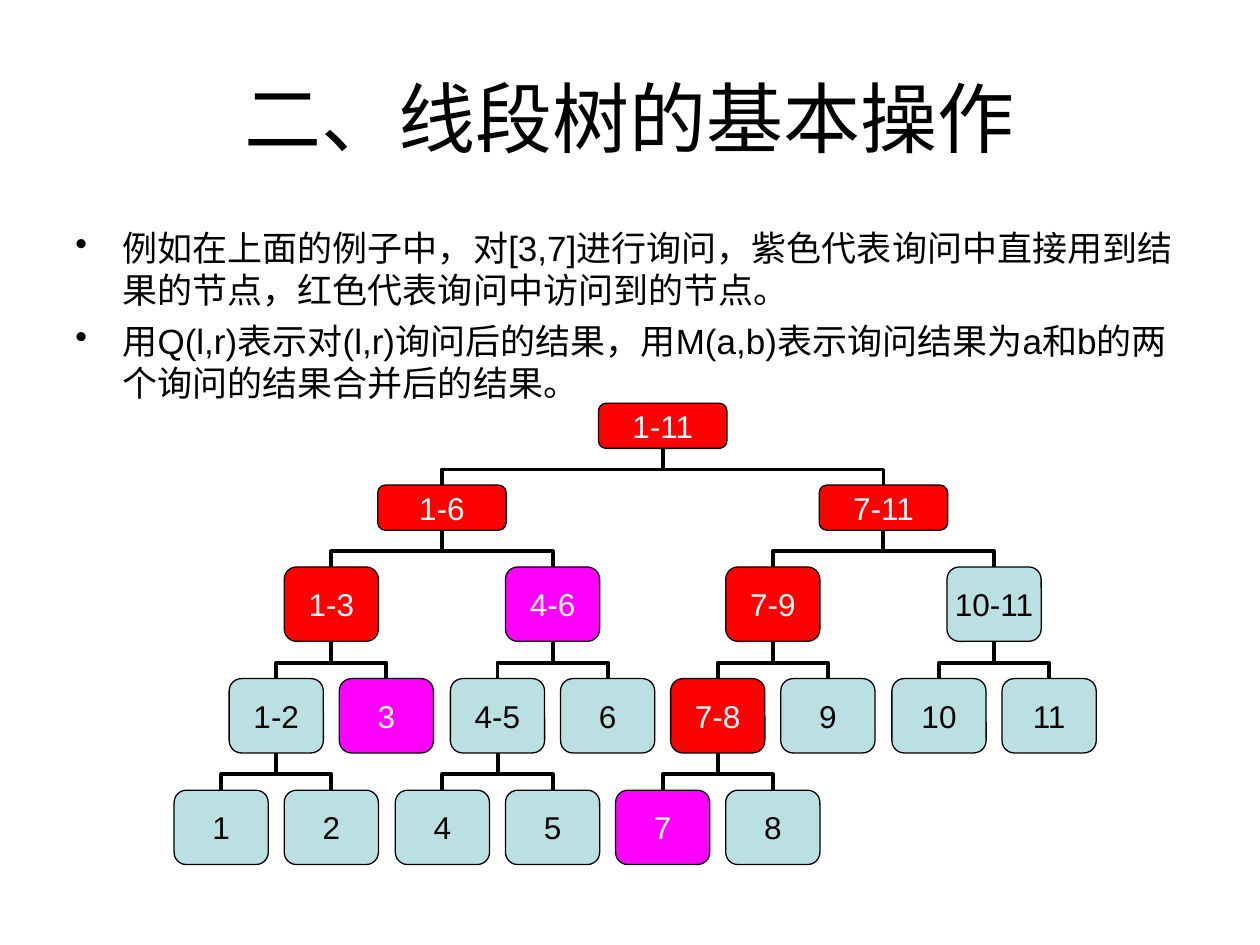
import pptx
import pptx.util
import pptx.dml.color
import pptx.enum.shapes
import pptx.enum.text
import pptx.oxml.ns
from lxml import etree
from pptx.util import Cm

FONT = "Arial"
BLACK, WHITE = "000000", "FFFFFF"
VISITED, USED, UNTOUCHED = "FF0000", "FF00FF", "BBE0E3"
QUERY = (3, 7)

# Tree layout in cm, one entry per level
LEVEL_TOPS = [8.13, 9.78, 11.43, 13.68, 15.93]
LEVEL_SIZES = [(2.59, 0.91)] * 2 + [(1.9, 1.5)] * 3
CHILD_OFFSETS = [4.45, 2.23, 1.11, 1.11]
ROOT_CENTRE = 13.36


def colour(hex_value):
    return pptx.dml.color.RGBColor.from_string(hex_value)


class SlideBuilder:
    """Holds the style and the current slide."""

    def __init__(self, slide):
        self.slide = slide
        self.tree = slide.shapes.add_group_shape().shapes

    def style(self, paragraph, size, hex_value):
        paragraph.font.name = FONT
        paragraph.font.size = pptx.util.Pt(size)
        paragraph.font.color.rgb = colour(hex_value)

    def text_frame(self, left, top, width, height):
        box = self.slide.shapes.add_textbox(Cm(left), Cm(top), Cm(width), Cm(height))
        box.text_frame.word_wrap = True
        return box.text_frame

    def title(self, text, *area):
        frame = self.text_frame(*area)
        frame.vertical_anchor = pptx.enum.text.MSO_ANCHOR.MIDDLE
        heading = frame.paragraphs[0]
        heading.text = text
        heading.alignment = pptx.enum.text.PP_ALIGN.CENTER
        self.style(heading, 44, BLACK)

    def bullets(self, points, *area):
        frame = self.text_frame(*area)
        frame.text = "\n".join(points)
        for point in frame.paragraphs:
            self.style(point, 20, BLACK)
            point.space_before = pptx.util.Pt(5)
            properties = point._p.get_or_add_pPr()
            properties.set("marL", str(Cm(0.95)))
            properties.set("indent", str(-Cm(0.95)))
            bullet = etree.SubElement(properties, pptx.oxml.ns.qn("a:buChar"))
            bullet.set("char", "•")

    def node(self, label, fill, centre, top, width, height):
        box = self.tree.add_shape(
            pptx.enum.shapes.MSO_SHAPE.ROUNDED_RECTANGLE,
            Cm(centre - width / 2), Cm(top), Cm(width), Cm(height))
        box.shadow.inherit = False
        box.fill.solid()
        box.fill.fore_color.rgb = colour(fill)
        box.line.color.rgb = colour(BLACK)
        box.line.width = pptx.util.Pt(0.75)
        frame = box.text_frame
        frame.margin_left = frame.margin_right = 0
        frame.margin_top = frame.margin_bottom = 0
        frame.word_wrap = False
        frame.vertical_anchor = pptx.enum.text.MSO_ANCHOR.MIDDLE
        caption = frame.paragraphs[0]
        caption.text = label
        caption.alignment = pptx.enum.text.PP_ALIGN.CENTER
        self.style(caption, 18, BLACK if fill == UNTOUCHED else WHITE)

    def branch(self, child_x, child_top, parent_x, parent_bottom):
        """Elbow from a child's top up to its parent's bottom, turned upright."""
        side = 1 if child_x > parent_x else -1
        middle_x = (child_x + parent_x) / 2
        middle_y = (child_top + parent_bottom) / 2
        half_rise = side * (child_top - parent_bottom) / 2
        half_run = abs(child_x - parent_x) / 2
        elbow = self.tree.add_connector(
            pptx.enum.shapes.MSO_CONNECTOR.ELBOW,
            Cm(middle_x - half_rise), Cm(middle_y + half_run),
            Cm(middle_x + half_rise), Cm(middle_y - half_run))
        elbow.line.color.rgb = colour(BLACK)
        elbow.line.width = pptx.util.Pt(2.25)
        properties = elbow._element.spPr
        qn = pptx.oxml.ns.qn
        properties.find(qn("a:xfrm")).set("rot", str((270 if side > 0 else 90) * 60000))
        bend = etree.SubElement(properties.find(".//" + qn("a:avLst")), qn("a:gd"))
        bend.set("name", "adj1")
        bend.set("fmla", "val 42400")
        etree.SubElement(properties, qn("a:effectLst"))


def segments(low, high, level=0, centre=ROOT_CENTRE, parent=None):
    """Yield every segment of the tree with its level, centre and parent centre."""
    yield low, high, level, centre, parent
    if low < high:
        middle = (low + high) // 2
        offset = CHILD_OFFSETS[level]
        yield from segments(low, middle, level + 1, centre - offset, centre)
        yield from segments(middle + 1, high, level + 1, centre + offset, centre)


def query_colours(low, high):
    """Map each segment reached by the query to its colour."""
    first, last = QUERY
    if high < first or low > last:
        return {}
    if first <= low and high <= last:
        return {(low, high): USED}
    middle = (low + high) // 2
    return {(low, high): VISITED,
            **query_colours(low, middle), **query_colours(middle + 1, high)}


def main():
    deck = pptx.Presentation()
    deck.slide_width, deck.slide_height = Cm(25.4), Cm(19.05)
    builder = SlideBuilder(deck.slides.add_slide(deck.slide_layouts[6]))

    # Heading and explanation
    builder.title("二、线段树的基本操作", 1.27, 0.76, 22.86, 3.18)
    builder.bullets([
        "例如在上面的例子中，对[3,7]进行询问，紫色代表询问中直接用到结果的节点，红色代表询问中访问到的节点。",
        "用Q(l,r)表示对(l,r)询问后的结果，用M(a,b)表示询问结果为a和b的两个询问的结果合并后的结果。",
    ], 1.27, 4.45, 22.86, 12.57)

    # Branches lie behind the nodes
    tree = sorted(segments(1, 11), key=lambda segment: segment[2])
    for low, high, level, centre, parent in tree[1:]:
        parent_bottom = LEVEL_TOPS[level - 1] + LEVEL_SIZES[level - 1][1]
        builder.branch(centre, LEVEL_TOPS[level], parent, parent_bottom)

    # Segment nodes
    reached = query_colours(1, 11)
    for low, high, level, centre, parent in tree:
        label = str(low) if low == high else f"{low}-{high}"
        fill = reached.get((low, high), UNTOUCHED)
        builder.node(label, fill, centre, LEVEL_TOPS[level], *LEVEL_SIZES[level])

    deck.save("out.pptx")


if __name__ == "__main__":
    main()
